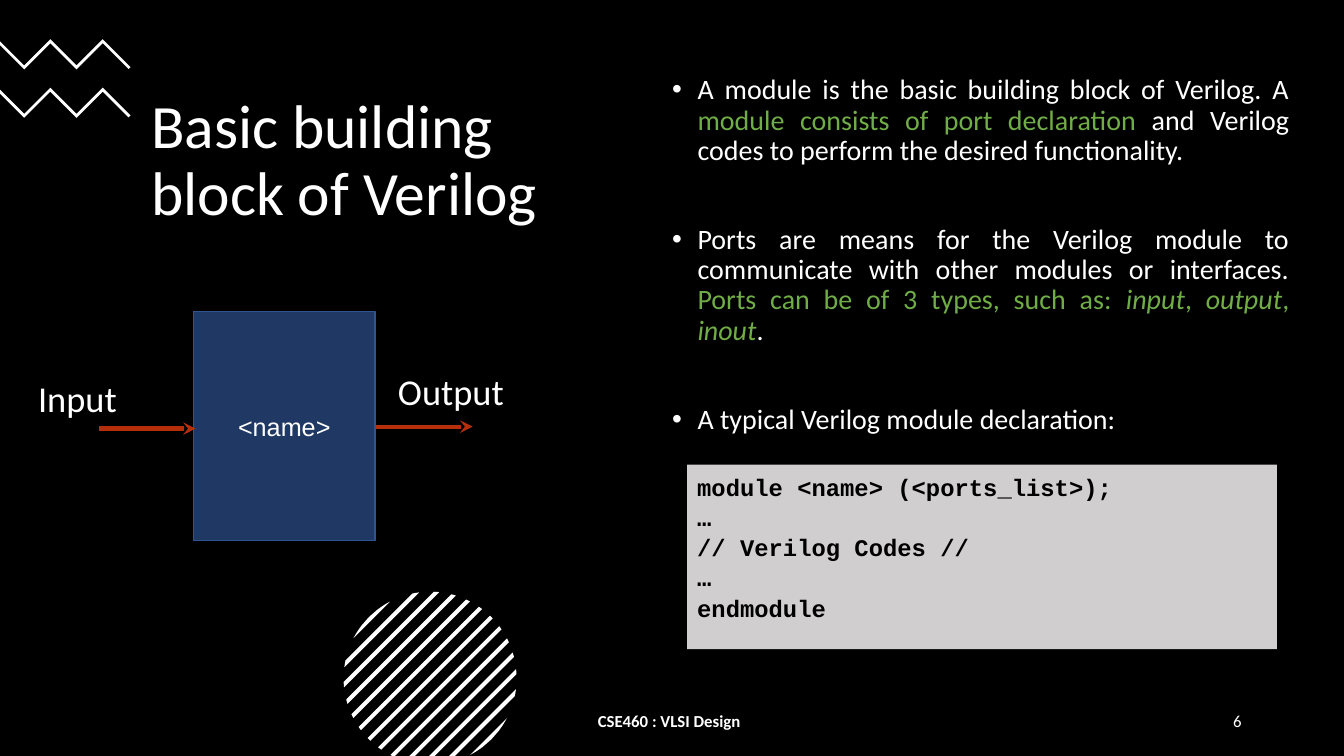
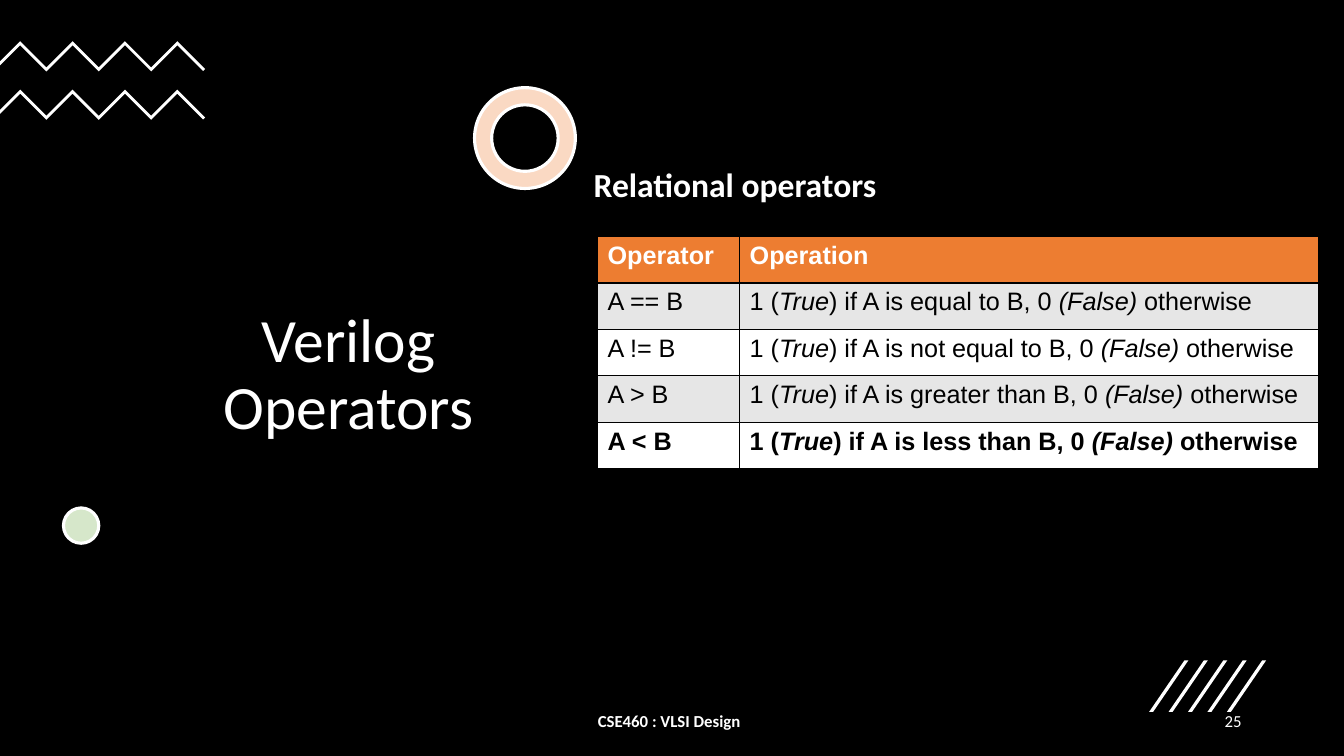
from math import sqrt

from lxml.etree import SubElement
from pptx import Presentation
from pptx.dml.color import RGBColor
from pptx.enum.shapes import MSO_CONNECTOR, MSO_SHAPE
from pptx.enum.text import MSO_ANCHOR, PP_ALIGN
from pptx.oxml.ns import qn
from pptx.util import Cm, Pt

COLORS = {
    "black": "000000",
    "white": "FFFFFF",
    "highlight": "70AD47",
    "code": "D0CECE",
    "module": "1F3864",
    "module_edge": "31538F",
    "arrow": "B52F0B",
    "header": "ED7D31",
    "band": "E6E6E6",
    "peach": "FAD9C3",
    "mint": "D6E7CA",
}
WIDTH, HEIGHT = 33.87, 19.05
GREEN = {"color": "highlight"}
GREEN_ITALIC = {"color": "highlight", "italic": True}
ITALIC = {"italic": True}


def rgb(name):
    return RGBColor.from_string(COLORS[name])


def add_xml(parent, tag, **attributes):
    return SubElement(parent, qn(tag), attributes)


def write(frame, paragraphs, font="Calibri", size=20, color="white", bold=False,
          align=PP_ALIGN.LEFT, anchor=MSO_ANCHOR.MIDDLE, spacing=1.0, gap=0,
          bullet=None, inset=0.13):
    frame.word_wrap = True
    frame.vertical_anchor = anchor
    frame.margin_left = frame.margin_right = Cm(0.25)
    frame.margin_top = frame.margin_bottom = Cm(inset)
    for index, runs in enumerate(paragraphs):
        paragraph = frame.add_paragraph() if index else frame.paragraphs[0]
        paragraph.alignment = align
        paragraph.line_spacing = spacing
        paragraph.space_before = Pt(gap if index else 0)
        if bullet:
            properties = paragraph._p.get_or_add_pPr()
            properties.set("marL", str(Cm(0.64)))
            properties.set("indent", str(-Cm(0.64)))
            add_xml(properties, "a:buFont", typeface="Arial")
            add_xml(properties, "a:buChar", char=bullet)
        for item in [runs] if isinstance(runs, str) else runs:
            words, changes = (item, {}) if isinstance(item, str) else item
            run = paragraph.add_run()
            run.text = words
            run.font.name = font
            run.font.size = Pt(size)
            run.font.bold = bold
            run.font.italic = changes.get("italic", False)
            run.font.color.rgb = rgb(changes.get("color", color))


def add_text(slide, box, paragraphs, **style):
    label = slide.shapes.add_textbox(*map(Cm, box))
    write(label.text_frame, paragraphs, **style)


def paint(shape, fill, edge=None, weight=1):
    shape.shadow.inherit = False
    shape.fill.solid()
    shape.fill.fore_color.rgb = rgb(fill)
    if edge:
        shape.line.color.rgb = rgb(edge)
        shape.line.width = Pt(weight)
    else:
        shape.line.fill.background()


def add_preset(slide, preset, box, fill, edge=None, weight=1):
    shape = slide.shapes.add_shape(preset, *map(Cm, box))
    paint(shape, fill, edge, weight)
    return shape


def add_outline(slide, points):
    corners = [(Cm(x), Cm(y)) for x, y in points]
    builder = slide.shapes.build_freeform(*corners[0])
    builder.add_line_segments(corners[1:], close=True)
    paint(builder.convert_to_shape(), "white")


def add_arrow(slide, x, y, length):
    arrow = slide.shapes.add_connector(
        MSO_CONNECTOR.STRAIGHT, Cm(x), Cm(y), Cm(x + length), Cm(y))
    arrow.line.color.rgb = rgb("arrow")
    arrow.line.width = Pt(3)
    properties = arrow._element.spPr
    add_xml(properties.find(qn("a:ln")), "a:tailEnd", type="stealth")
    add_xml(properties, "a:effectLst")


def add_zigzags(slide, top, first_turn, turns, starts_down):
    step, tail, thickness = 0.66, 0.7, 0.1
    for row_top in (top, top + 1.22):
        upper = [(0, row_top + (step - first_turn if starts_down else first_turn))]
        for turn in range(turns):
            is_valley = (turn % 2 == 0) == starts_down
            upper.append((first_turn + turn * step, row_top + step * is_valley))
        last_x, last_y = upper[-1]
        end = (last_x + tail, last_y + tail)
        lower = [(x, y + thickness) for x, y in reversed(upper)]
        cut = (end[0] - thickness / 2, end[1] + thickness / 2)
        add_outline(slide, upper + [end, cut] + lower)


def add_striped_disc(slide, center_x, center_y, radius):
    count, pitch, half_width, samples = 13, 0.355, 0.05, 6

    def point(distance, side):
        half_chord = sqrt(max(0, radius ** 2 - distance ** 2))
        x = center_x + (distance + side * half_chord) / sqrt(2)
        y = center_y + (distance - side * half_chord) / sqrt(2)
        overflow = max(0, y - HEIGHT)
        return x + overflow, y - overflow

    for stripe in range(count):
        middle = (stripe - count // 2) * pitch
        distances = [middle - half_width + 2 * half_width * k / (samples - 1)
                     for k in range(samples)]
        add_outline(slide, [point(d, 1) for d in distances]
                    + [point(d, -1) for d in reversed(distances)])


def add_slashes(slide, left, top, height):
    slant, thickness, pitch = 0.89, 0.1, 0.49
    for slash in range(5):
        x = left + slash * pitch
        add_outline(slide, [(x, top + height), (x + slant, top),
                            (x + slant + thickness, top), (x + thickness, top + height)])


def add_title(slide, box, title, align=PP_ALIGN.LEFT):
    add_text(slide, box, [title], size=44, spacing=0.9, align=align)


def add_footer(slide, number):
    add_text(slide, (11.15, 17.65, 11.43, 1.01), ["CSE460 : VLSI Design"],
             size=12, bold=True, align=PP_ALIGN.CENTER)
    add_text(slide, (23.92, 17.65, 7.62, 1.01), [str(number)],
             size=12, align=PP_ALIGN.RIGHT)


def add_module_diagram(slide, left, top):
    block = add_preset(slide, MSO_SHAPE.RECTANGLE, (left + 4.17, top, 4.57, 5.77),
                       "module", "module_edge")
    write(block.text_frame, ["<name>"], font="Arial", size=18, align=PP_ALIGN.CENTER)
    ports = [("Input", 0, 1.5, 1.78, 2.95), ("Output", 9.07, 1.32, 8.76, 2.9)]
    for port, label_x, label_y, arrow_x, arrow_y in ports:
        add_arrow(slide, left + arrow_x, top + arrow_y, 2.44)
        add_text(slide, (left + label_x, top + label_y, 3.78, 1.37), [port], size=26)


def add_code(slide, box, lines):
    panel = add_preset(slide, MSO_SHAPE.RECTANGLE, box, "code")
    write(panel.text_frame, lines, font="Courier New", size=17, color="black",
          bold=True, anchor=MSO_ANCHOR.TOP, spacing=1.06, inset=0.15)


def add_operator_table(slide, left, top, rows):
    widths, row_height = (3.58, 14.58), 1.17
    table = slide.shapes.add_table(
        len(rows), len(widths), Cm(left), Cm(top),
        Cm(sum(widths)), Cm(row_height * len(rows))).table
    for column, width in zip(table.columns, widths):
        column.width = Cm(width)
    for index, row in enumerate(rows):
        is_header = index == 0
        fill = "header" if is_header else ("band" if index % 2 else "white")
        for column, runs in enumerate(row):
            cell = table.cell(index, column)
            write(cell.text_frame, [runs], font="Arial", size=18,
                  color="white" if is_header else "black",
                  bold=index in (0, len(rows) - 1))
            cell.vertical_anchor = MSO_ANCHOR.TOP
            properties = cell._tc.get_or_add_tcPr()
            for side in "LRTB":
                border = add_xml(properties, f"a:ln{side}", w=str(Pt(1)))
                color = add_xml(border, "a:solidFill")
                add_xml(color, "a:srgbClr", val=COLORS["black"])
            cell.fill.solid()
            cell.fill.fore_color.rgb = rgb(fill)


def start_slide(deck):
    slide = deck.slides.add_slide(deck.slide_layouts[6])
    slide.background.fill.solid()
    slide.background.fill.fore_color.rgb = rgb("black")
    return slide


def build_module_slide(deck):
    slide = start_slide(deck)
    add_title(slide, (3.56, 1.47, 11.2, 5.23), "Basic building block of Verilog")
    add_zigzags(slide, 0.99, 0.61, 4, True)
    add_text(slide, (16.69, 1.78, 16.05, 9.6), [
        ["A module is the basic building block of Verilog. A ",
         ("module consists of port declaration ", GREEN),
         "and Verilog codes to perform the desired functionality."],
        ["Ports are means for the Verilog module to communicate with other "
         "modules or interfaces. ",
         ("Ports can be of 3 types, such as: ", GREEN),
         ("input", GREEN_ITALIC), (", ", GREEN), ("output", GREEN_ITALIC),
         (", ", GREEN), ("inout", GREEN_ITALIC), "."],
        "A typical Verilog module declaration:",
    ], align=PP_ALIGN.JUSTIFY, anchor=MSO_ANCHOR.TOP, spacing=0.9, gap=42, bullet="•")
    add_striped_disc(slide, 10.84, 17.09, 2.18)
    add_code(slide, (17.32, 11.71, 14.86, 4.65), [
        "module <name> (<ports_list>);", "…", "// Verilog Codes //", "…", "endmodule"])
    add_module_diagram(slide, 0.71, 7.85)
    add_footer(slide, 6)


def build_operator_slide(deck):
    slide = start_slide(deck)
    add_preset(slide, MSO_SHAPE.DONUT, (11.96, 2.21, 2.54, 2.54),
               "peach", "white", 2.25).adjustments[0] = 0.17
    add_title(slide, (3.07, 3.51, 11.43, 11.94), "Verilog Operators", PP_ALIGN.CENTER)
    add_zigzags(slide, 1.04, 0.51, 7, False)
    add_preset(slide, MSO_SHAPE.OVAL, (1.6, 12.8, 0.89, 0.89), "mint", "white", 2.25)
    add_text(slide, (14.71, 4.11, 18.5, 1.4), ["Relational operators"],
             size=24, bold=True, anchor=MSO_ANCHOR.TOP, spacing=0.9)
    add_slashes(slide, 28.96, 16.64, 1.3)
    comparisons = [("==", "equal to"), ("!=", "not equal to"),
                   (">", "greater than"), ("<", "less than")]
    add_operator_table(slide, 15.06, 5.96, [("Operator", "Operation")] + [
        (f"A {sign} B", ["1 (", ("True", ITALIC), f") if A is {meaning} B, 0 ",
                         ("(False) ", ITALIC), "otherwise"])
        for sign, meaning in comparisons])
    add_footer(slide, 25)


def main():
    deck = Presentation()
    deck.slide_width, deck.slide_height = Cm(WIDTH), Cm(HEIGHT)
    build_module_slide(deck)
    build_operator_slide(deck)
    deck.save("out.pptx")


if __name__ == "__main__":
    main()
